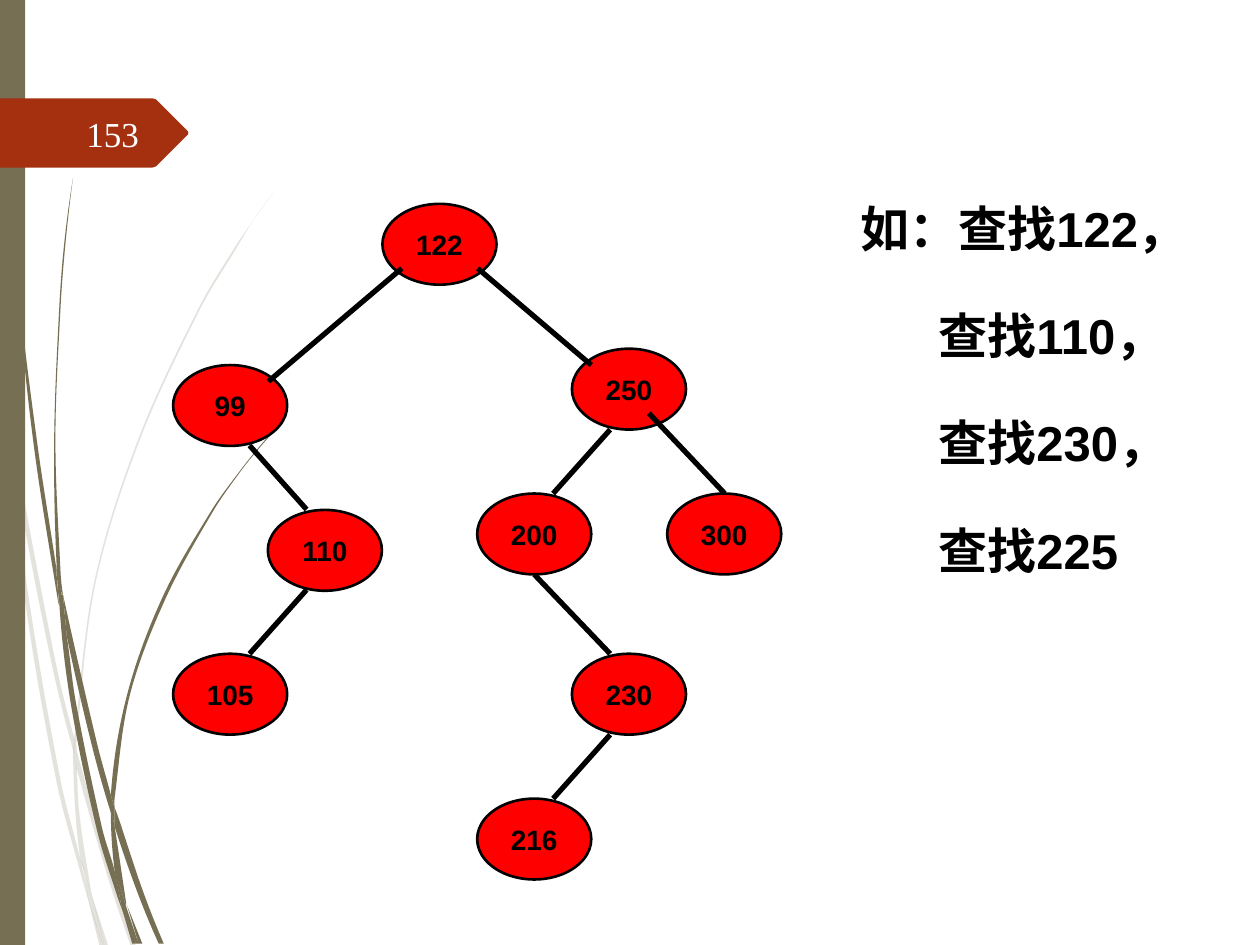
from math import hypot

from lxml.etree import SubElement
from pptx import Presentation
from pptx.dml.color import RGBColor
from pptx.enum.shapes import MSO_CONNECTOR, MSO_SHAPE
from pptx.enum.text import MSO_ANCHOR, PP_ALIGN
from pptx.oxml.ns import qn
from pptx.util import Cm, Pt

OLIVE = RGBColor(0x76, 0x6F, 0x54)
RUST = RGBColor(0xA5, 0x30, 0x10)
RED = RGBColor(0xFF, 0, 0)
BLACK = RGBColor(0, 0, 0)
PALE = RGBColor(0xFE, 0xFF, 0xFF)

# Tree: key, left and top in cm
NODES = [
    ("122", 7.71, 4.11), ("250", 11.53, 7.03), ("300", 13.45, 9.95),
    ("110", 5.4, 10.28), ("200", 9.62, 9.95), ("99", 3.49, 7.36),
    ("105", 3.49, 13.18), ("230", 11.53, 13.18), ("216", 9.62, 16.1),
]
# Tree branches: from x, y to x, y in cm
EDGES = [
    (8.1, 5.41, 5.41, 7.69), (9.63, 5.41, 11.92, 7.36),
    (13.08, 8.33, 14.61, 9.95), (12.3, 8.66, 11.15, 9.95),
    (5.03, 8.98, 6.18, 10.27), (6.18, 11.89, 5.03, 13.18),
    (10.77, 11.58, 12.3, 13.18), (12.3, 14.81, 11.15, 16.1),
]
# Search lines: text, indent in cm
LINES = [("如：查找122，", 0), ("查找110，", 1.57),
         ("查找230，", 1.57), ("查找225", 1.57)]

# Grass blades: two sides each, in steps of the fine grid
STEP = Cm(0.0254)
FAINT = [
    ([(8, 350), (6, 322), (0, 282)], [(0, 299), (7, 344), (8, 350)]),
    ([(12, 376), (40, 522), (59, 599)], [(59, 586), (43, 520), (10, 345)]),
    ([(61, 610), (85, 694), (104, 751)],
     [(108, 751), (88, 692), (64, 607), (61, 596)]),
    ([(73, 711), (83, 751)], [(86, 751), (73, 711)]),
    ([(8, 350), (19, 470), (45, 621), (64, 693), (70, 714)],
     [(70, 714), (69, 707), (64, 683), (48, 619), (22, 469), (12, 376), (8, 350)]),
    ([(58, 599), (60, 646), (64, 683), (67, 692), (73, 711)],
     [(73, 711), (72, 706), (63, 646), (61, 610), (61, 608), (58, 599)]),
    ([(61, 596), (61, 584), (76, 462), (111, 349), (159, 245), (187, 198),
      (201, 175), (217, 153)],
     [(217, 153), (201, 175), (186, 197), (158, 244), (110, 348), (75, 461),
      (59, 584), (59, 586)]),
    ([(70, 714), (79, 751)], [(82, 751), (70, 714)]),
    ([(58, 599), (61, 608), (61, 610)], [(61, 596), (59, 586)]),
    ([(65, 683), (69, 707), (70, 714), (82, 751)],
     [(83, 751), (73, 711), (67, 692), (65, 683)]),
]
SOLID = [
    ([(2, 0), (3, 48), (5, 110), (14, 233), (27, 355), (46, 477), (47, 481)],
     [(47, 481), (45, 457), (45, 453), (30, 355), (15, 232), (6, 109), (4, 48),
      (3, 0)]),
    ([(53, 505), (73, 592), (88, 645)], [(88, 633), (88, 631), (77, 590), (50, 472)]),
    ([(91, 656), (109, 708), (126, 749)],
     [(130, 749), (113, 706), (94, 649), (91, 641)]),
    ([(47, 477), (56, 557), (77, 659), (92, 708), (97, 722)],
     [(97, 722), (96, 717), (91, 691), (81, 657), (60, 556), (53, 505), (47, 477)]),
    ([(50, 472), (48, 453), (44, 349), (48, 245), (52, 193), (58, 141)],
     [(58, 141), (51, 193), (47, 245), (43, 349), (45, 449), (49, 471)]),
    ([(101, 719), (110, 749)], [(113, 749), (101, 719)]),
    ([(45, 449), (45, 453), (47, 477), (53, 505)], [(50, 472), (49, 472), (45, 449)]),
    ([(91, 641), (91, 633), (103, 552), (131, 476), (169, 406), (191, 374),
      (203, 359), (216, 344)],
     [(215, 344), (203, 358), (191, 373), (168, 405), (129, 474), (101, 551),
      (88, 631)]),
    ([(97, 722), (105, 749)], [(108, 749), (97, 722)]),
    ([(88, 645), (91, 691), (96, 706), (100, 719)],
     [(100, 716), (91, 656), (90, 651), (88, 645)]),
    ([(88, 631), (88, 633), (88, 645), (90, 651), (91, 656)], [(91, 641), (88, 631)]),
    ([(91, 691), (96, 717), (97, 722), (108, 749)],
     [(110, 749), (100, 719), (96, 706), (91, 691)]),
]
TAG = [(0, 78), (121, 78), (124, 79), (149, 104), (149.5, 105.5), (149, 107),
       (124, 132), (121, 133), (0, 133)]


def aim(p, q):
    """Return the unit vector from p to q."""
    size = hypot(q[0] - p[0], q[1] - p[1]) or 1
    return (q[0] - p[0]) / size, (q[1] - p[1]) / size


def mirror(d, p, q):
    """Reflect direction d about the chord from p to q."""
    u = aim(p, q)
    dot = 2 * (d[0] * u[0] + d[1] * u[1])
    return dot * u[0] - d[0], dot * u[1] - d[1]


def bends(pts):
    """Return the two control points of each piece of a smooth curve."""
    if len(pts) == 2:
        dirs = [aim(*pts)] * 2
    else:
        mid = [aim(p, q) for p, q in zip(pts, pts[2:])]
        dirs = [mirror(mid[0], *pts[:2]), *mid, mirror(mid[-1], *pts[-2:])]
    out = []
    for p, q, d, e in zip(pts, pts[1:], dirs, dirs[1:]):
        reach = hypot(q[0] - p[0], q[1] - p[1]) / 3
        out.append([(p[0] + reach * d[0], p[1] + reach * d[1]),
                    (q[0] - reach * e[0], q[1] - reach * e[1])])
    return out


def paint(shape, fill):
    shape.shadow.inherit = False
    shape.fill.solid()
    shape.fill.fore_color.rgb = fill
    shape.line.fill.background()


def outline(slide, pts, fill):
    spots = [(round(x * STEP), round(y * STEP)) for x, y in pts]
    form = slide.shapes.build_freeform(*spots[0])
    form.add_line_segments(spots[1:], close=True)
    shape = form.convert_to_shape()
    paint(shape, fill)
    return shape


def add_blade(slide, left, right, alpha):
    shape = outline(slide, left + right, OLIVE)
    pairs = bends(left) + [None] + bends(right)
    for seg, pair in zip(list(shape._element.iter(qn("a:lnTo"))), pairs):
        if pair:
            seg.tag = qn("a:cubicBezTo")
            for i, (x, y) in enumerate(pair):
                spot = SubElement(seg, qn("a:pt"))
                spot.set("x", str(round(x * STEP) - shape.left))
                spot.set("y", str(round(y * STEP) - shape.top))
                seg.insert(i, spot)
    if alpha:
        tint = shape.fill._xPr.find(qn("a:solidFill"))[0]
        SubElement(tint, qn("a:alpha")).set("val", str(alpha * 1000))


def write(par, text, size, face, color, bold=False):
    run = par.add_run()
    run.text = text
    font = run.font
    font.size, font.name, font.bold = Pt(size), face, bold
    font.color.rgb = color


def add_node(slide, key, left, top):
    oval = slide.shapes.add_shape(MSO_SHAPE.OVAL, Cm(left), Cm(top), Cm(2.3), Cm(1.63))
    paint(oval, RED)
    oval.line.color.rgb = BLACK
    oval.line.width = Pt(1.5)
    frame = oval.text_frame
    frame.word_wrap = False
    frame.vertical_anchor = MSO_ANCHOR.MIDDLE
    frame.paragraphs[0].alignment = PP_ALIGN.CENTER
    write(frame.paragraphs[0], key, 16, "Arial", BLACK, True)


def add_edge(slide, ends):
    line = slide.shapes.add_connector(MSO_CONNECTOR.STRAIGHT, *map(Cm, ends))
    line.line.color.rgb = BLACK
    line.line.width = Pt(3)
    SubElement(line._element.spPr, qn("a:effectLst"))


def add_box(slide, *place):
    frame = slide.shapes.add_textbox(*map(Cm, place)).text_frame
    frame.word_wrap = True
    return frame


deck = Presentation()
deck.slide_width, deck.slide_height = Cm(25.4), Cm(19.05)
slide = deck.slides.add_slide(deck.slide_layouts[6])
for blades, alpha in ((FAINT, 20), (SOLID, None)):
    for left, right in blades:
        add_blade(slide, left, right, alpha)
bar = slide.shapes.add_shape(MSO_SHAPE.RECTANGLE, 0, 0, Cm(0.51), deck.slide_height)
paint(bar, OLIVE)
outline(slide, TAG, RUST)
frame = add_box(slide, 1.42, 2.18, 1.63, 1.02)
frame.vertical_anchor = MSO_ANCHOR.MIDDLE
frame.paragraphs[0].alignment = PP_ALIGN.RIGHT
write(frame.paragraphs[0], "153", 20, "Times New Roman", PALE)
for node in NODES:
    add_node(slide, *node)
for ends in EDGES:
    add_edge(slide, ends)
frame = add_box(slide, 17.1, 3.53, 7.59, 12.9)
for i, (text, indent) in enumerate(LINES):
    par = frame.add_paragraph() if i else frame.paragraphs[0]
    par.line_spacing = 1.3
    if i:
        par.space_before = Pt(17.5)
    par._p.get_or_add_pPr().set("marL", str(Cm(indent)))
    write(par, text, 28, "Arial", BLACK, True)
deck.save("out.pptx")
